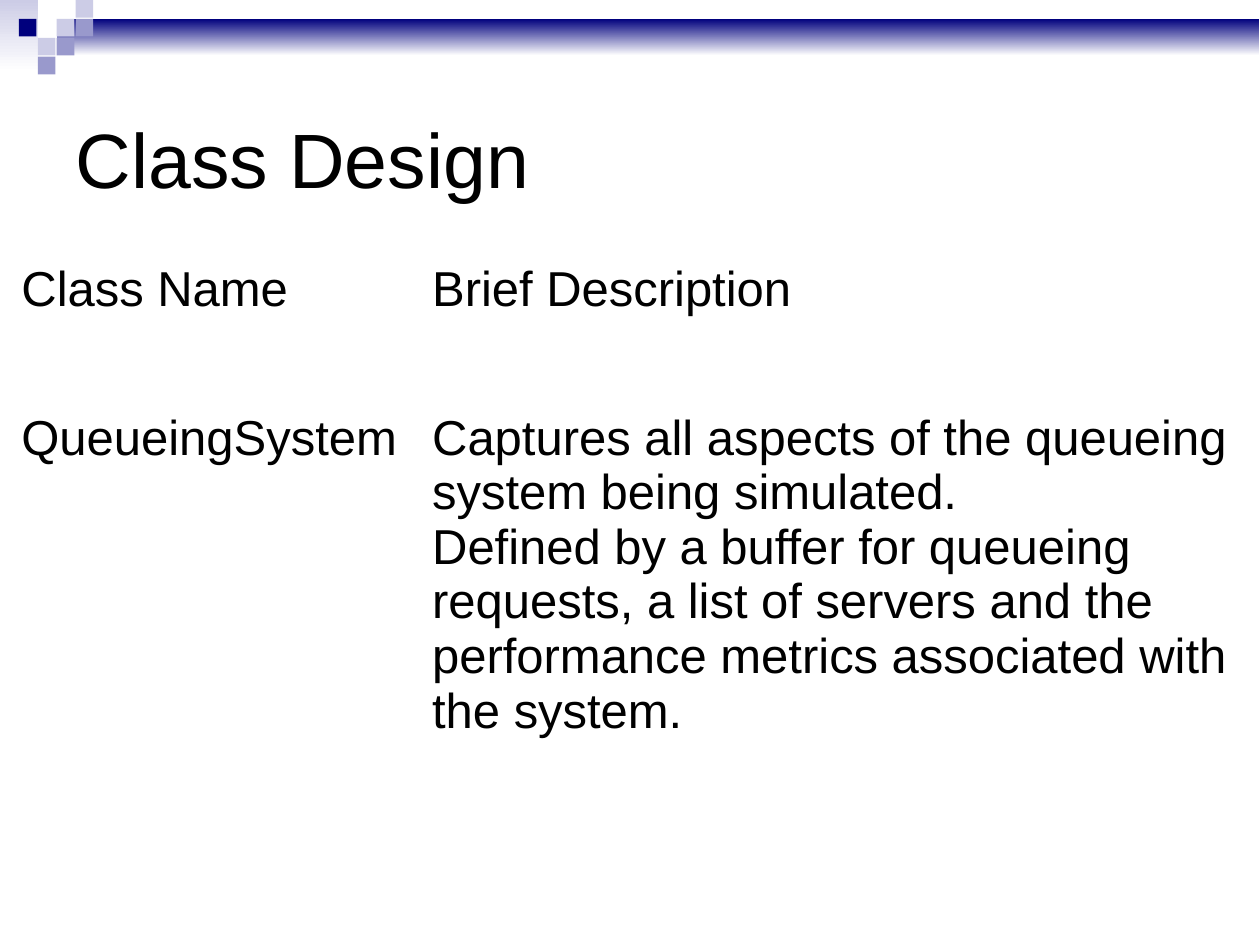
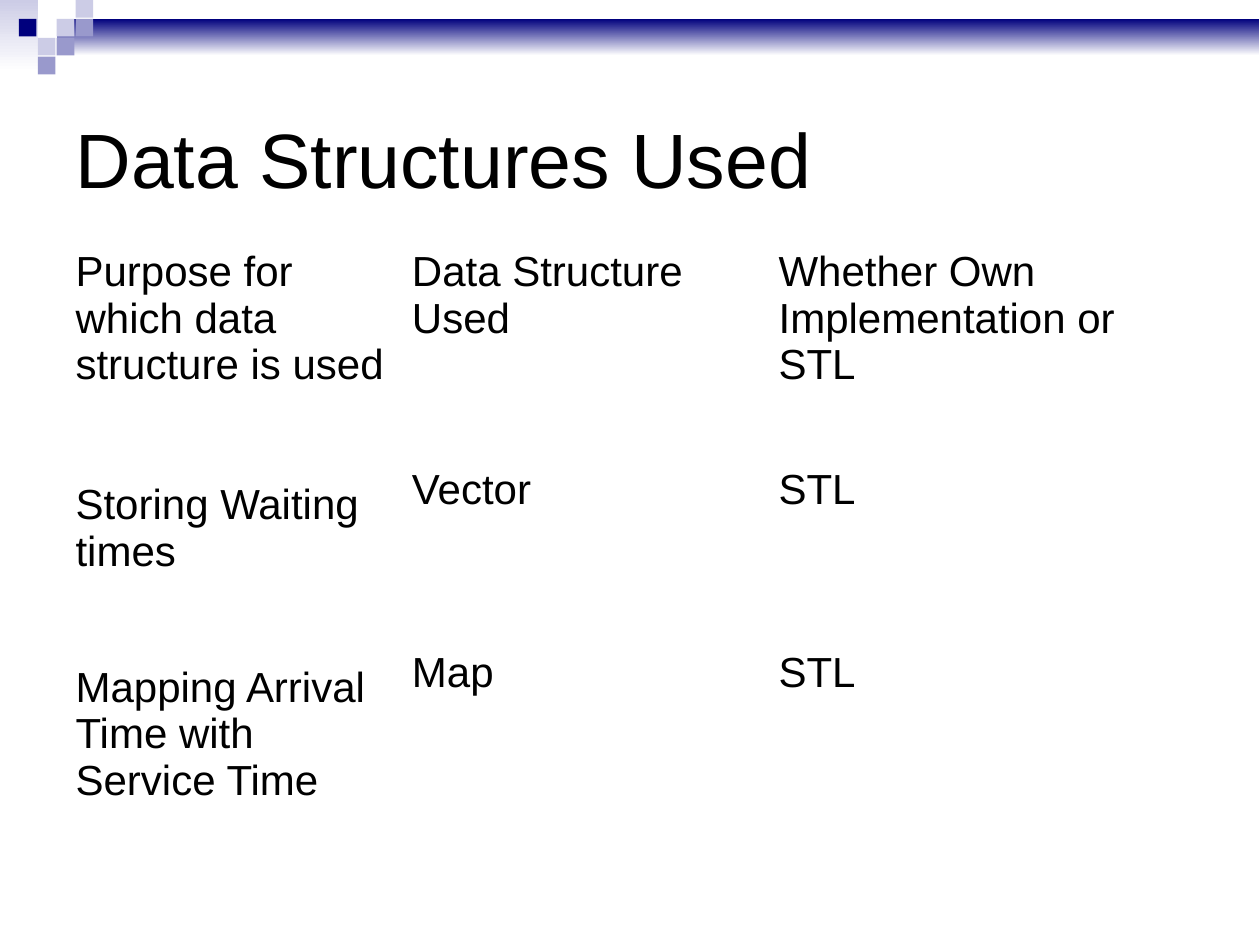
from pptx import Presentation
from pptx.dml.color import RGBColor as RGB
from pptx.enum.shapes import MSO_SHAPE as SHAPE
from pptx.enum.text import MSO_ANCHOR as ANCHOR, MSO_AUTO_SIZE as AUTOSIZE, PP_ALIGN as ALIGN
from pptx.oxml.ns import qn
from pptx.util import Inches, Pt

# Content: "tight" lists the (row, column) cells with reduced line spacing;
# rows without an entry in "cells" stay blank
SLIDES = [
    dict(
        title="Class Design",
        at=(0.07, 2.17), size=28,
        cols=[3.26, 6.66], rows=[1.04, 3.89, 0.92, 0.92, 0.92, 0.93],
        cells=[
            ["Class Name", "Brief Description"],
            ["QueueingSystem",
             "Captures all aspects of the queueing system being simulated.\n"
             "Defined by a buffer for queueing requests, a list of servers and "
             "the performance metrics associated with the system."],
        ],
        tight=[(0, 0), (0, 1)],
    ),
    dict(
        title="Data Structures Used",
        at=(0.5, 1.92), size=24,
        cols=[2.67, 2.91, 3.26], rows=[1.85, 1.45, 1.77, 0.91, 0.91],
        cells=[
            ["Purpose for which data structure is used", "Data Structure Used",
             "Whether Own Implementation or STL"],
            ["Storing Waiting times", "Vector", "STL"],
            ["Mapping Arrival Time with Service Time", "Map", "STL"],
        ],
        tight=[(1, 1), (1, 2), (2, 1), (2, 2)],
    ),
]

# Theme
THEME = dict(
    font="Arial", title_size=44, tight=0.62,
    text=RGB(0, 0, 0), white=RGB(255, 255, 255),
    navy=RGB.from_string("00007D"), mid=RGB.from_string("9999CC"),
    pale=RGB.from_string("CCCCE6"),
)
PLAIN_TABLE = "{2D5ABB26-0587-4C30-8999-92F81FD0307C}"  # No Style, No Grid
TITLE_BOX = (0.5, 0.5, 9, 1.5)
FADES = [((0, 0, 0.3, 0.57), "pale"), ((0.45, 0.15, 9.54, 0.29), "navy")]
# Mosaic squares as (column, row, colour) on a 0.15 inch grid
PITCH, SQUARE = 0.15, 0.14
MOSAIC = [(3, 1, "pale"), (4, 0, "pale"), (4, 1, "mid"), (2, 2, "pale"),
          (1, 1, "navy"), (3, 2, "mid"), (2, 3, "mid")]


def set_all(target, **values):
    for name, value in values.items():
        setattr(target, name, value)


def place(shape, box):
    set_all(shape, **dict(zip(("left", "top", "width", "height"), map(Inches, box))))


def style_text(tf, size):
    for p in tf.paragraphs:
        p.alignment = ALIGN.LEFT
        for r in p.runs:
            set_all(r.font, name=THEME["font"], size=Pt(size), bold=False)
            r.font.color.rgb = THEME["text"]


def add_rect(s, box):
    sp = s.shapes.add_shape(SHAPE.RECTANGLE, *map(Inches, box))
    sp.shadow.inherit = False
    sp.line.fill.background()
    return sp


def decorate_master(prs, s):
    """Draw the top band and mosaic, then move them to the slide master."""
    parts = []
    for box, colour in FADES:
        sp = add_rect(s, box)
        sp.fill.gradient()
        sp.fill.gradient_angle = 90
        for stop, rgb in zip(sp.fill.gradient_stops, (THEME["white"], THEME[colour])):
            stop.color.rgb = rgb
        parts.append(sp)
    for col, row, colour in MOSAIC:
        sp = add_rect(s, (col * PITCH, row * PITCH, SQUARE, SQUARE))
        sp.fill.solid()
        sp.fill.fore_color.rgb = THEME[colour]
        parts.append(sp)
    tree = prs.slide_master.shapes._spTree
    for i, sp in enumerate(parts):
        sp._element.nvSpPr.cNvPr.set("id", str(100 + i))
        tree.insert(2 + i, sp._element)


def add_title(s, text):
    title = s.shapes.title
    place(title, TITLE_BOX)
    tf = title.text_frame
    tf.text = text
    set_all(tf, vertical_anchor=ANCHOR.MIDDLE, word_wrap=True, auto_size=AUTOSIZE.NONE)
    style_text(tf, THEME["title_size"])


def add_grid(s, data):
    cols, rows = data["cols"], data["rows"]
    box = (*data["at"], sum(cols), sum(rows))
    table = s.shapes.add_table(len(rows), len(cols), *map(Inches, box)).table
    set_all(table, first_row=False, horz_banding=False)
    table._tbl.tblPr.find(qn("a:tableStyleId")).text = PLAIN_TABLE
    for column, width in zip(table.columns, cols):
        column.width = Inches(width)
    for row, height in zip(table.rows, rows):
        row.height = Inches(height)
    for cell in table.iter_cells():
        cell.fill.background()
    for i, texts in enumerate(data["cells"]):
        for j, text in enumerate(texts):
            tf = table.cell(i, j).text_frame
            tf.text = text
            style_text(tf, data["size"])
            if (i, j) in data["tight"]:
                tf.paragraphs[0].line_spacing = THEME["tight"]


def main():
    prs = Presentation()
    set_all(prs, slide_width=Inches(10), slide_height=Inches(7.5))
    title_only = prs.slide_layouts[5]
    for n, data in enumerate(SLIDES):
        s = prs.slides.add_slide(title_only)
        if n == 0:
            decorate_master(prs, s)
        add_title(s, data["title"])
        add_grid(s, data)
    prs.save("out.pptx")


if __name__ == "__main__":
    main()
